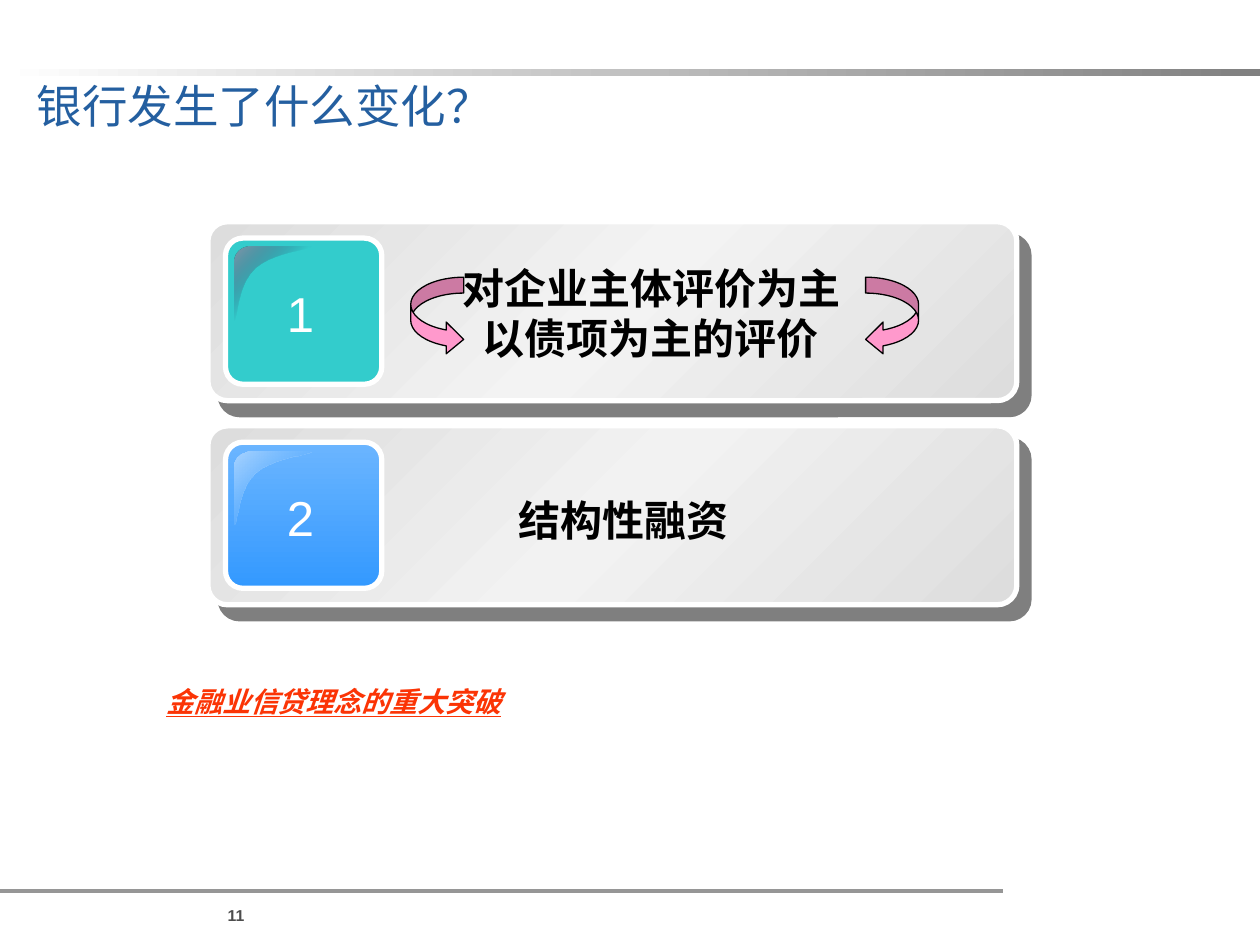
from lxml import etree
from pptx import Presentation
from pptx.dml.color import RGBColor
from pptx.enum import shapes, text
from pptx.oxml import ns
from pptx.util import Inches, Pt

COLORS = {
    "title": "245FA0", "accent": "FB3405", "black": "000000", "white": "FFFFFF",
    "number": "4D4D4D", "rule": "969696", "bar": "808080", "edge": "DDDDDD",
    "teal": "33CCCC", "sky": "6BB5FF", "blue": "3399FF", "pink": "FF99CC",
    "slate": "8699AC", "navy": "214366", "ice": "A9D4FF",
}
TITLE = "银行发生了什么变化？"
CONCLUSION = "金融业信贷理念的重大突破"
PAGE_NUMBER = "11"
CARDS = [
    {"number": "1", "lines": [("对企业主体评价为主", 0.38), ("以债项为主的评价", 0.54)],
     "text_top": 0.22, "text_height": 0.95, "middle": "F3F3F3",
     "badge": [(0, "teal", 100), (100, "teal", 100)],
     "gloss": [(0, "slate", 100), (50, "navy", 0), (100, "slate", 100)]},
    {"number": "2", "lines": [("结构性融资", 0.83)],
     "text_top": 0.2, "text_height": 0.79, "middle": "F2F2F2",
     "badge": [(0, "sky", 100), (100, "blue", 100)],
     "gloss": [(0, "ice", 100), (100, "blue", 0)]},
]
CARD_LEFT, CARD_TOP, CARD_PITCH = 1.65, 1.76, 1.62
ARROWS = [(shapes.MSO_SHAPE.CURVED_RIGHT_ARROW, 3.26), (shapes.MSO_SHAPE.CURVED_LEFT_ARROW, 6.87)]
GLOSS_START = (0.13, 0)
GLOSS_CURVES = [
    [(0.06, 0), (0, 0.05), (0, 0.12)],
    [(0, 0.12), (0, 0.58), (0, 0.58)],
    [(0.03, 0.58), (0.02, 0.3), (0.17, 0.17)],
    [(0.32, 0.04), (0.62, 0.03), (0.61, 0)],
]


def rgb(name):
    return RGBColor.from_string(COLORS.get(name, name))


def place(shape, *box):
    shape.left, shape.top, shape.width, shape.height = map(Inches, box)


def set_gradient(shape, stops, angle):
    shape.fill.solid()
    solid = shape._element.spPr.find(ns.qn("a:solidFill"))
    gradient = etree.Element(ns.qn("a:gradFill"), rotWithShape="1")
    stop_list = etree.SubElement(gradient, ns.qn("a:gsLst"))
    for position, color, opacity in stops:
        stop = etree.SubElement(stop_list, ns.qn("a:gs"), pos=str(position * 1000))
        value = etree.SubElement(stop, ns.qn("a:srgbClr"), val=COLORS.get(color, color))
        etree.SubElement(value, ns.qn("a:alpha"), val=str(opacity * 1000))
    etree.SubElement(gradient, ns.qn("a:lin"), ang=str(angle * 60000), scaled="0")
    solid.getparent().replace(solid, gradient)


def set_shadow(shape):
    effects = shape._element.spPr.find(ns.qn("a:effectLst"))
    shadow = etree.SubElement(effects, ns.qn("a:outerShdw"), blurRad="0", dist=str(Pt(10.6)),
                              dir=str(49 * 60000), algn="ctr", rotWithShape="0")
    color = etree.SubElement(shadow, ns.qn("a:srgbClr"), val=COLORS["black"])
    etree.SubElement(color, ns.qn("a:alpha"), val="50000")


def add_shape(slide, preset, box, line=None, width=0, adjustments=()):
    shape = slide.shapes.add_shape(preset, *map(Inches, box))
    shape.shadow.inherit = False
    for index, value in enumerate(adjustments):
        shape.adjustments[index] = value
    if line:
        shape.line.color.rgb = rgb(line)
        shape.line.width = Pt(width)
    else:
        shape.line.fill.background()
    return shape


def write(shape, lines, size, color, font="Arial", bold=False, align=text.PP_ALIGN.LEFT,
          anchor=text.MSO_ANCHOR.TOP, inset=(0.1, 0.05), wrap=True):
    frame = shape.text_frame
    frame.text = "\n".join(line for line, _ in lines)
    frame.word_wrap = wrap
    frame.vertical_anchor = anchor
    frame.auto_size = text.MSO_AUTO_SIZE.NONE
    frame.margin_left = frame.margin_right = Inches(inset[0])
    frame.margin_top = frame.margin_bottom = Inches(inset[1])
    for paragraph, (_, indent) in zip(frame.paragraphs, lines):
        paragraph.alignment = align
        paragraph.space_before = Pt(0)
        properties = paragraph._p.get_or_add_pPr()
        properties.set("marL", str(Inches(indent)))
        properties.set("indent", "0")
        etree.SubElement(properties, ns.qn("a:buNone"))
        for run in paragraph.runs:
            run.font.name, run.font.size, run.font.bold = font, Pt(size), bold
            run.font.color.rgb = rgb(color)
            etree.SubElement(run._r.rPr, ns.qn("a:ea"), typeface=font)


def add_text(slide, box, *args, **options):
    write(slide.shapes.add_textbox(*map(Inches, box)), *args, **options)


def sample_curves(start, curves, steps=10):
    points = []
    for first, second, end in curves:
        for step in range(1, steps + 1):
            t = step / steps
            weights = ((1 - t) ** 3, 3 * t * (1 - t) ** 2, 3 * t * t * (1 - t), t ** 3)
            points.append(tuple(sum(w * p[axis] for w, p in zip(weights, (start, first, second, end)))
                                for axis in (0, 1)))
        start = end
    return points


def add_gloss(slide, left, top, stops):
    def shift(point):
        return Inches(left + point[0]), Inches(top + point[1])
    builder = slide.shapes.build_freeform(*shift(GLOSS_START))
    builder.add_line_segments([shift(p) for p in sample_curves(GLOSS_START, GLOSS_CURVES)], close=True)
    gloss = builder.convert_to_shape()
    gloss.shadow.inherit = False
    gloss.line.fill.background()
    set_gradient(gloss, stops, 45)


def add_card(slide, card, top):
    rounded = shapes.MSO_SHAPE.ROUNDED_RECTANGLE
    panel = add_shape(slide, rounded, (CARD_LEFT, top, 6.42, 1.42), "white", 3, [0.109])
    set_gradient(panel, [(0, "edge", 100), (50, card["middle"], 100), (100, "edge", 100)], 45)
    set_shadow(panel)
    badge = add_shape(slide, rounded, (CARD_LEFT + 0.14, top + 0.13, 1.24, 1.16), "white", 3, [0.119])
    set_gradient(badge, card["badge"], 90)
    add_gloss(slide, CARD_LEFT + 0.21, top + 0.2, card["gloss"])
    add_text(slide, (CARD_LEFT + 0.53, top + 0.44, 0.41, 0.57), [(card["number"], 0)], 28, "white",
             align=text.PP_ALIGN.CENTER, wrap=False)
    add_text(slide, (CARD_LEFT + 1.54, top + card["text_top"], 4.72, card["text_height"]),
             card["lines"], 24, "black", bold=True, anchor=text.MSO_ANCHOR.BOTTOM)


def main():
    """Build the slide on changes in banking."""
    presentation = Presentation()
    presentation.slide_width, presentation.slide_height = Inches(10), Inches(7.5)
    slide = presentation.slides.add_slide(presentation.slide_layouts[1])
    title, body = slide.placeholders

    bar = add_shape(slide, shapes.MSO_SHAPE.RECTANGLE, (0, 0.55, 10, 0.05))
    set_gradient(bar, [(0, "white", 100), (100, "bar", 100)], 0)
    rule = slide.shapes.add_connector(shapes.MSO_CONNECTOR.STRAIGHT, 0, Inches(7.07), Inches(7.96), Inches(7.07))
    rule.line.color.rgb = rgb("rule")
    rule.line.width = Pt(0)
    etree.SubElement(rule._element.spPr, ns.qn("a:effectLst"))
    add_text(slide, (0.84, 7.19, 1.1, 0.15), [(PAGE_NUMBER, 0)], 9, "number", bold=True,
             align=text.PP_ALIGN.RIGHT, inset=(0, 0))

    place(title, 0.29, 0.62, 5.59, 0.43)
    write(title, [(TITLE, 0)], 26, "title", inset=(0, 0))
    place(body, 0.53, 5.16, 8.96, 1.3)
    write(body, [(CONCLUSION, 0.69)], 16, "accent", font="Noto Sans CJK SC", bold=True, inset=(0.1, 0.14))
    paragraph = body.text_frame.paragraphs[0]
    paragraph.line_spacing = 1.5
    paragraph.runs[0].font.italic = paragraph.runs[0].font.underline = True

    for index, card in enumerate(CARDS):
        add_card(slide, card, CARD_TOP + index * CARD_PITCH)
    for preset, left in ARROWS:
        arrow = add_shape(slide, preset, (left, 2.2, 0.42, 0.62), "black", 0.75, [0.3, 0.6, 0.33])
        arrow.fill.solid()
        arrow.fill.fore_color.rgb = rgb("pink")

    presentation.save("out.pptx")


if __name__ == "__main__":
    main()
